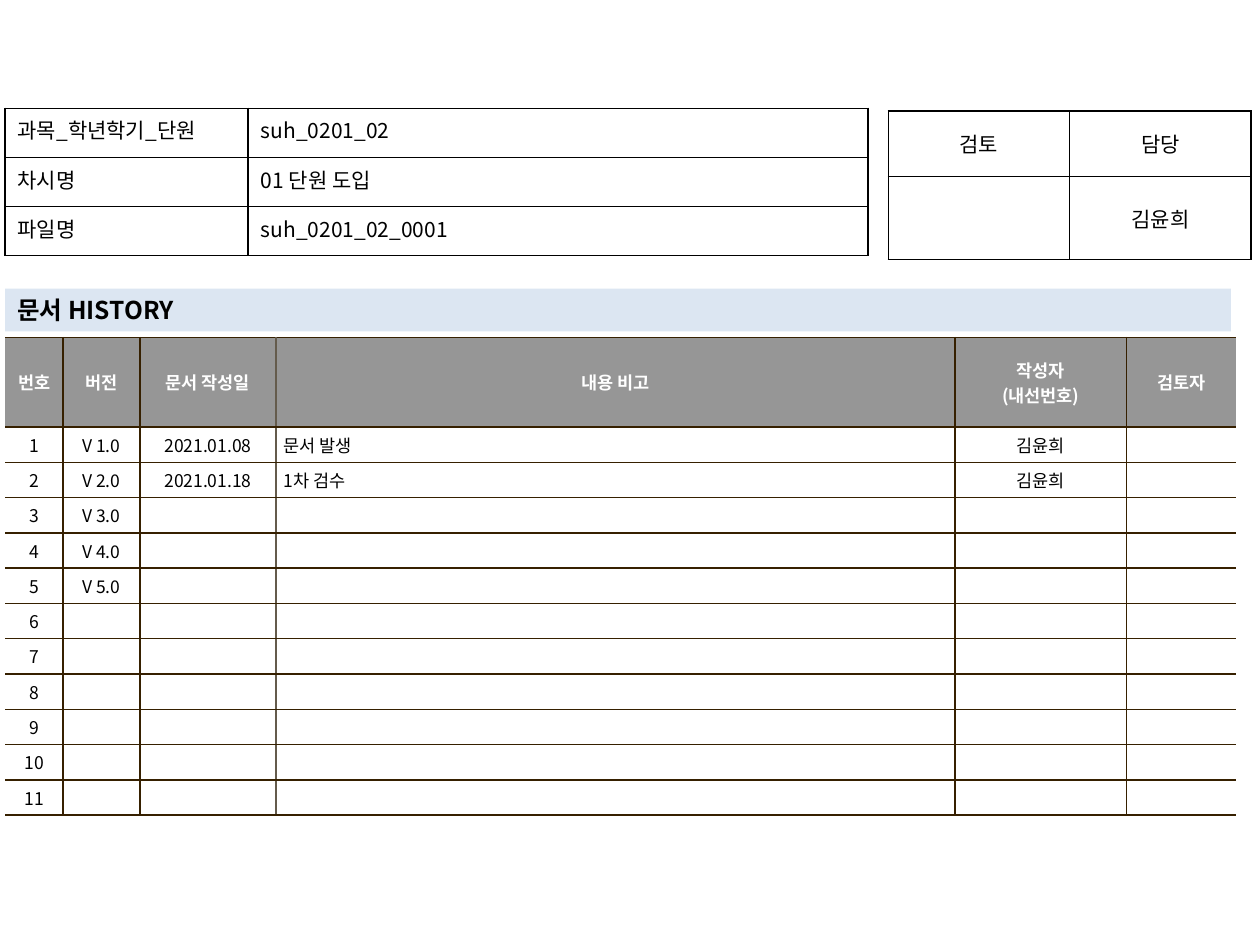
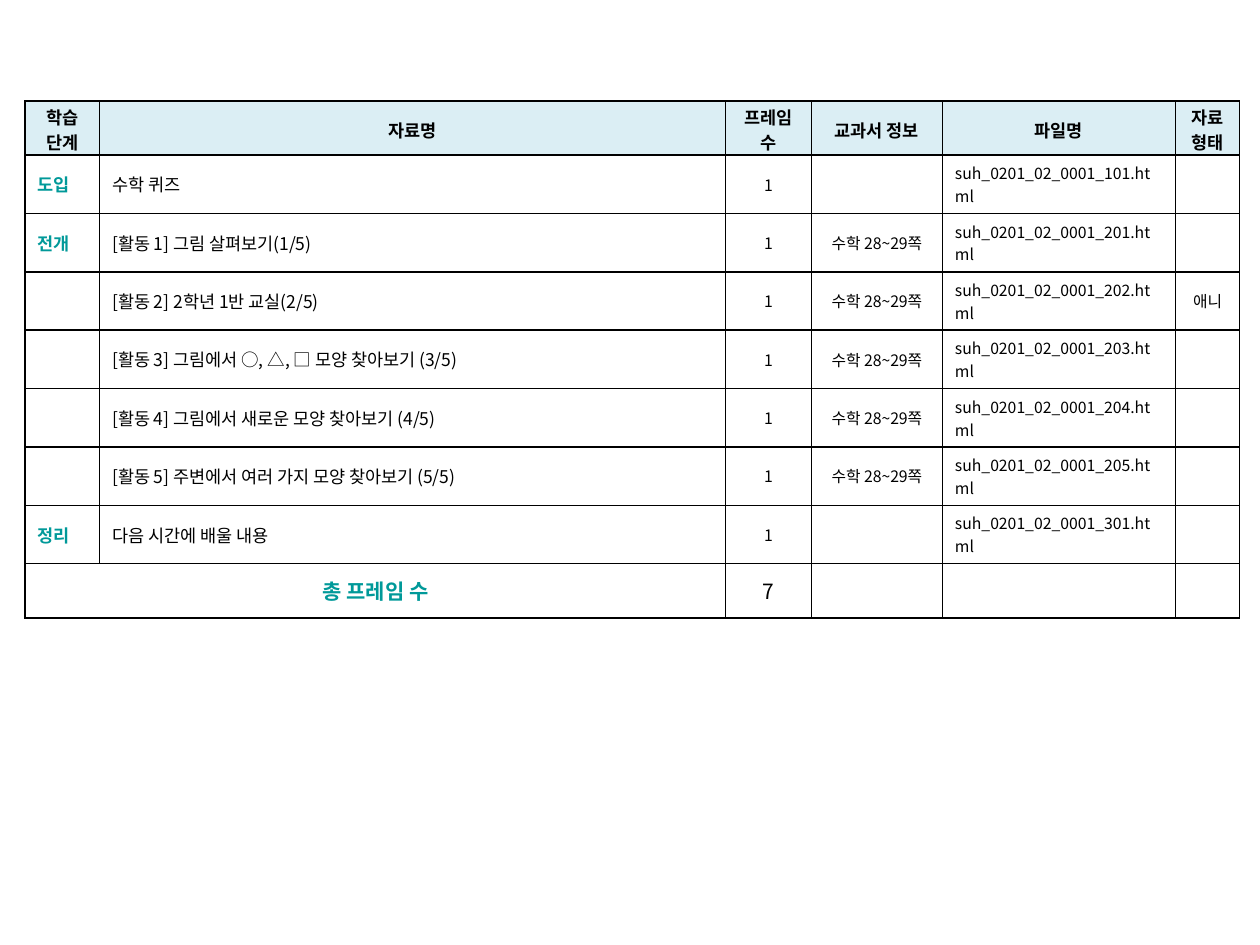
from dataclasses import dataclass, replace

from lxml.etree import SubElement
from pptx import Presentation
from pptx.dml.color import RGBColor
from pptx.enum.shapes import MSO_SHAPE as Shape
from pptx.enum.text import MSO_ANCHOR as Anchor, PP_ALIGN as Align
from pptx.oxml.ns import qn
from pptx.util import Inches, Pt

FONT = "Noto Sans CJK KR"
BLACK, WHITE, TEAL = "000000", "FFFFFF", "009999"
BROWN, LIGHT_BROWN, GREY = "362000", "645B4C", "969696"
BAND_BLUE, HEADER_BLUE = "DCE6F2", "DBEEF4"


@dataclass(frozen=True)
class CellStyle:
    size: int = 12
    color: str = BLACK
    bold: bool = False
    align: Align = Align.LEFT
    anchor: Anchor = Anchor.MIDDLE
    fill: str | None = None
    insets: tuple = (0.1, 0.05, 0.1, 0.05)


INFO = CellStyle(anchor=Anchor.TOP)
REVIEW = CellStyle(align=Align.CENTER)
HISTORY = CellStyle(size=10, align=Align.CENTER, fill=WHITE, insets=(0.06, 0.04, 0.06, 0.04))
HISTORY_HEADER = replace(HISTORY, color=WHITE, bold=True, fill=GREY)
FRAME_TEXT = CellStyle(size=10)
FRAME_STAGE = CellStyle(size=10, color=TEAL, bold=True, align=Align.JUSTIFY)
FRAME_FILE = CellStyle(size=9)
FRAME_CENTER = CellStyle(size=9, align=Align.CENTER)
FRAME_HEADER = CellStyle(size=10, bold=True, align=Align.CENTER, fill=HEADER_BLUE,
                         insets=(0.1, 0.03, 0.1, 0))
TOTAL_LABEL = CellStyle(color=TEAL, bold=True, align=Align.CENTER)
TOTAL_VALUE = CellStyle(align=Align.CENTER)


def rgb(value):
    return RGBColor.from_string(value)


def add_run(paragraph, text, size, color, bold):
    run = paragraph.add_run()
    run.text = text
    run.font.size = Pt(size)
    run.font.bold = bold
    run.font.name = FONT
    run.font.color.rgb = rgb(color)
    SubElement(run.font._element, qn("a:ea"), typeface=FONT)


def write_cell(cell, text, style):
    cell.margin_left, cell.margin_top, cell.margin_right, cell.margin_bottom = map(
        Inches, style.insets)
    cell.vertical_anchor = style.anchor
    if style.fill:
        cell.fill.solid()
        cell.fill.fore_color.rgb = rgb(style.fill)
    else:
        cell.fill.background()
    frame = cell.text_frame
    if not text:
        # An empty cell keeps the row low only with an explicit text size
        SubElement(frame.paragraphs[0]._p, qn("a:endParaRPr"), sz=str(style.size * 100))
        return
    for index, line in enumerate(text.split("\n")):
        paragraph = frame.add_paragraph() if index else frame.paragraphs[0]
        paragraph.alignment = style.align
        add_run(paragraph, line, style.size, style.color, style.bold)


def set_borders(cell, colors):
    """Draw the left, right, top and bottom borders; None hides a side."""
    properties = cell._tc.get_or_add_tcPr()
    for side, color in zip("LRTB", colors):
        line = SubElement(properties, qn(f"a:ln{side}"), w=str(Pt(1)))
        if color:
            fill = SubElement(line, qn("a:solidFill"))
            SubElement(fill, qn("a:srgbClr"), val=color)
        else:
            SubElement(line, qn("a:noFill"))


def black_borders(column):
    return [BLACK] * 4


def history_borders(column):
    """Open outer sides, and a lighter line between date and remarks."""
    verticals = [None, BROWN, BROWN, LIGHT_BROWN, BROWN, BROWN, None]
    return verticals[column:column + 2] + [BROWN, BROWN]


def add_table(slide, left, top, widths, heights, rows, style_of, borders_of=black_borders):
    frame = slide.shapes.add_table(len(rows), len(widths), Inches(left), Inches(top),
                                   Inches(sum(widths)), Inches(sum(heights)))
    table = frame.table
    table.first_row = table.horz_banding = False
    for column, width in zip(table.columns, widths):
        column.width = Inches(width)
    for row, height in zip(table.rows, heights):
        row.height = Inches(height)
    for row_index, texts in enumerate(rows):
        for column_index, text in enumerate(texts):
            cell = table.cell(row_index, column_index)
            set_borders(cell, borders_of(column_index))
            write_cell(cell, text, style_of(row_index, column_index))
    return table


def add_band(slide, text):
    band = slide.shapes.add_shape(Shape.RECTANGLE, Inches(0.04), Inches(2.29),
                                  Inches(9.73), Inches(0.34))
    band.shadow.inherit = False
    band.fill.solid()
    band.fill.fore_color.rgb = rgb(BAND_BLUE)
    band.line.fill.background()
    frame = band.text_frame
    frame.word_wrap = True
    frame.vertical_anchor = Anchor.MIDDLE
    paragraph = frame.paragraphs[0]
    paragraph.alignment = Align.LEFT
    add_run(paragraph, text, 14, BLACK, True)


def history_style(row, column):
    if row == 0:
        return HISTORY_HEADER
    return replace(HISTORY, align=Align.LEFT) if column == 3 else HISTORY


def info_style(row, column):
    return INFO if column else replace(INFO, align=Align.JUSTIFY)


def review_style(row, column):
    return REVIEW


def build_history_slide(slide):
    entries = {1: ("2021.01.08", "문서 발생", "김윤희"),
               2: ("2021.01.18", "1차 검수", "김윤희")}
    rows = [("번호", "버전", "문서 작성일", "내용 비고", "작성자\n(내선번호)", "검토자")]
    for number in range(1, 12):
        version = f"V {number}.0" if number <= 5 else ""
        rows.append((str(number), version, *entries.get(number, ("", "", "")), ""))
    add_table(slide, 0.04, 2.68, [0.46, 0.61, 1.08, 5.39, 1.36, 0.87],
              [0.71] + [0.25] * 11, rows, history_style, history_borders)
    add_table(slide, 7.05, 0.88, [1.44, 1.44], [0.52, 0.66],
              [("검토", "담당"), ("", "김윤희")], review_style)
    add_band(slide, "문서 HISTORY")
    add_table(slide, 0.04, 0.86, [1.93, 4.92], [0.39] * 3,
              [("과목_학년학기_단원", "suh_0201_02"),
               ("차시명", "01 단원 도입"),
               ("파일명", "suh_0201_02_0001")], info_style)


def build_frames_slide(slide):
    pages = "수학 28~29쪽"
    lessons = [
        ("도입", "수학 퀴즈", "", 101, ""),
        ("전개", "[활동 1] 그림 살펴보기(1/5)", pages, 201, ""),
        ("", "[활동 2] 2학년 1반 교실(2/5)", pages, 202, "애니"),
        ("", "[활동 3] 그림에서 ○, △, □ 모양 찾아보기 (3/5)", pages, 203, ""),
        ("", "[활동 4] 그림에서 새로운 모양 찾아보기 (4/5)", pages, 204, ""),
        ("", "[활동 5] 주변에서 여러 가지 모양 찾아보기 (5/5)", pages, 205, ""),
        ("정리", "다음 시간에 배울 내용", "", 301, ""),
    ]
    rows = [("학습 단계", "자료명", "프레임 수", "교과서 정보", "파일명", "자료\n형태")]
    for stage, title, textbook, number, kind in lessons:
        rows.append((stage, title, "1", textbook, f"suh_0201_02_0001_{number}.html", kind))
    rows.append(("총 프레임 수", "", str(len(lessons)), "", "", ""))
    body_styles = [FRAME_STAGE, FRAME_TEXT, FRAME_CENTER, FRAME_CENTER, FRAME_FILE, FRAME_CENTER]

    def frame_style(row, column):
        if row == 0:
            return FRAME_HEADER
        if row == len(rows) - 1:
            return TOTAL_VALUE if column else TOTAL_LABEL
        return body_styles[column]

    table = add_table(slide, 0.2, 0.8, [0.59, 4.97, 0.68, 1.04, 1.85, 0.51],
                      [0.43] + [0.46] * len(lessons) + [0.43], rows, frame_style)
    last = len(rows) - 1
    table.cell(last, 0).merge(table.cell(last, 1))


def main():
    presentation = Presentation()
    presentation.slide_width = Inches(10)
    presentation.slide_height = Inches(7.5)
    blank = presentation.slide_layouts[6]
    for build in (build_history_slide, build_frames_slide):
        build(presentation.slides.add_slide(blank))
    presentation.save("out.pptx")


if __name__ == "__main__":
    main()
